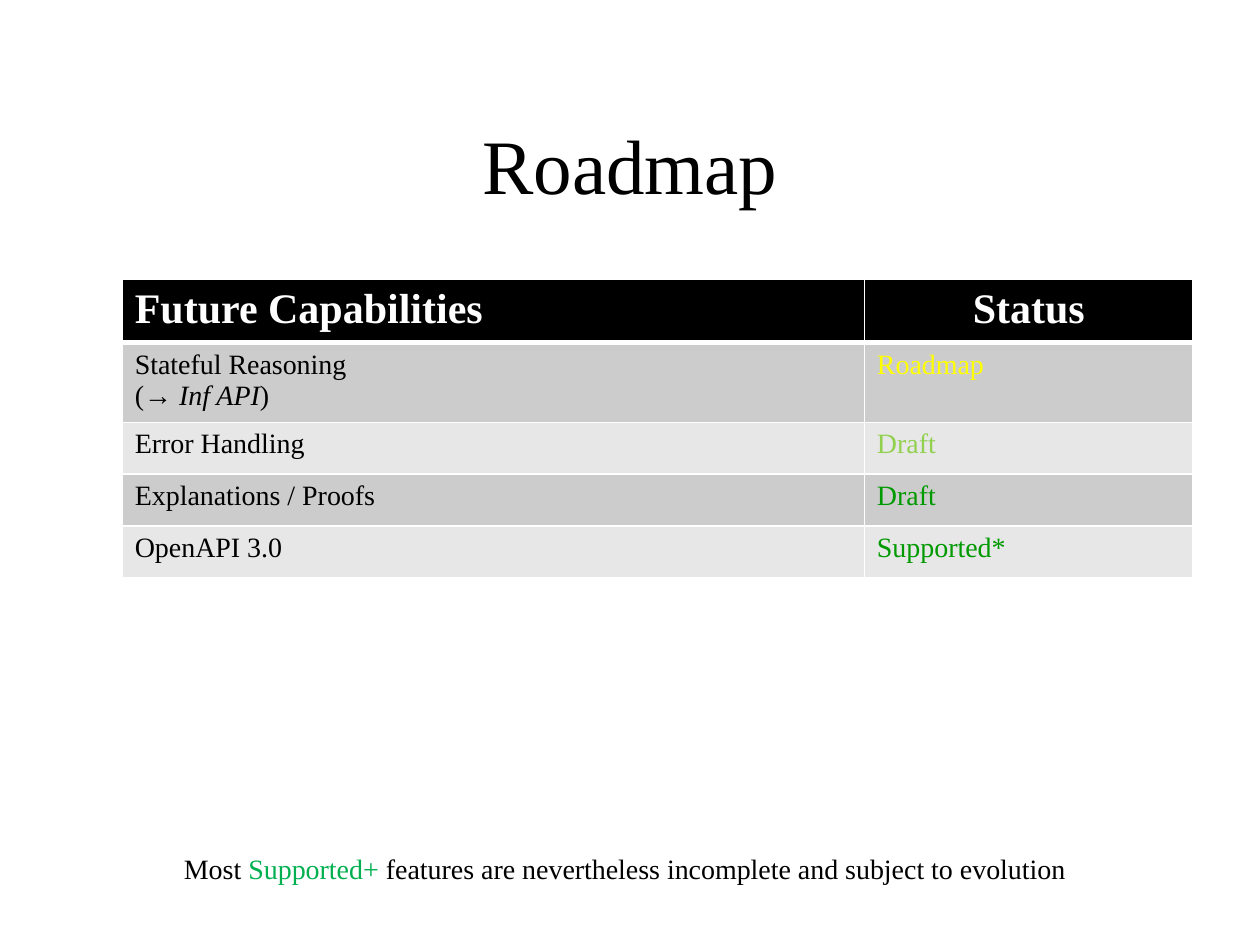
from lxml import etree
from pptx import Presentation
from pptx.dml.color import RGBColor
from pptx.enum.text import MSO_ANCHOR, PP_ALIGN
from pptx.oxml.ns import qn
from pptx.util import Inches, Pt

LEFT, CENTER = PP_ALIGN.LEFT, PP_ALIGN.CENTER
TOP, MIDDLE = MSO_ANCHOR.TOP, MSO_ANCHOR.MIDDLE
BLACK = RGBColor(0x00, 0x00, 0x00)
WHITE = RGBColor(0xFF, 0xFF, 0xFF)
DARK_BAND = RGBColor(0xCC, 0xCC, 0xCC)
LIGHT_BAND = RGBColor(0xE7, 0xE7, 0xE7)
YELLOW = RGBColor(0xFF, 0xFF, 0x00)
LIME = RGBColor(0x92, 0xD0, 0x50)
GREEN = RGBColor(0x00, 0x99, 0x00)
EMERALD = RGBColor(0x00, 0xB0, 0x50)
FONT = "Times New Roman"

COLUMN_WIDTHS = (5.89, 2.61)
ROW_HEIGHT = 0.41
CAPABILITIES = [
    ([["Stateful Reasoning"], ["(→ ", ("Inf API", {"italic": True}), ")"]], "Roadmap", YELLOW),
    ([["Error Handling"]], "Draft", LIME),
    ([["Explanations / Proofs"]], "Draft", GREEN),
    ([["OpenAPI 3.0"]], "Supported*", GREEN),
]


def add_span(para, text, size=16, color=BLACK, bold=False, italic=False):
    """Add one formatted run of text to a paragraph."""
    span = para.add_run()
    span.text = text
    span.font.name = FONT
    span.font.size = Pt(size)
    span.font.color.rgb = color
    span.font.bold = bold
    span.font.italic = italic


def write_text(frame, lines, align=LEFT, **style):
    """Fill a text frame with lines made of strings or (string, style) pairs."""
    for index, line in enumerate(lines):
        para = frame.add_paragraph() if index else frame.paragraphs[0]
        para.alignment = align
        for part in line:
            text, extra = (part, {}) if isinstance(part, str) else part
            add_span(para, text, **{**style, **extra})


def add_text_box(page, left, top, width, height, lines, anchor=TOP, **style):
    """Add a wrapped text box in inches."""
    box = page.shapes.add_textbox(Inches(left), Inches(top), Inches(width), Inches(height))
    box.text_frame.word_wrap = True
    box.text_frame.vertical_anchor = anchor
    write_text(box.text_frame, lines, **style)


def set_borders(cell, top=1, bottom=1):
    """Draw white borders on a cell, with widths in points."""
    properties = cell._tc.get_or_add_tcPr()
    for side, width in (("L", 1), ("R", 1), ("T", top), ("B", bottom)):
        line = etree.SubElement(properties, qn(f"a:ln{side}"), w=str(Pt(width)))
        fill = etree.SubElement(line, qn("a:solidFill"))
        etree.SubElement(fill, qn("a:srgbClr"), val=str(WHITE))


def fill_cell(cell, lines, fill, top=1, bottom=1, **style):
    """Set the borders, fill and text of a table cell."""
    set_borders(cell, top, bottom)
    cell.fill.solid()
    cell.fill.fore_color.rgb = fill
    write_text(cell.text_frame, lines, **style)


def add_capability_table(page, left, top):
    """Add the table of future capabilities and their status."""
    row_count = len(CAPABILITIES) + 1
    table = page.shapes.add_table(
        row_count, len(COLUMN_WIDTHS), Inches(left), Inches(top),
        Inches(sum(COLUMN_WIDTHS)), Inches(ROW_HEIGHT * row_count),
    ).table
    for column, width in zip(table.columns, COLUMN_WIDTHS):
        column.width = Inches(width)
    for index, (title, align) in enumerate((("Future Capabilities", LEFT), ("Status", CENTER))):
        fill_cell(table.cell(0, index), [[title]], BLACK, bottom=3,
                  align=align, size=24, color=WHITE, bold=True)
    for row, (lines, status, color) in enumerate(CAPABILITIES, start=1):
        band = DARK_BAND if row % 2 else LIGHT_BAND
        top_width = 3 if row == 1 else 1
        fill_cell(table.cell(row, 0), lines, band, top=top_width)
        fill_cell(table.cell(row, 1), [[status]], band, top=top_width, color=color)


def main():
    """Build and save the roadmap slide."""
    deck = Presentation()
    deck.slide_width, deck.slide_height = Inches(10), Inches(7.5)
    page = deck.slides.add_slide(deck.slide_layouts[6])
    add_text_box(page, 0.75, 0.67, 8.5, 1.25, [["Roadmap"]],
                 anchor=MIDDLE, align=CENTER, size=44)
    add_capability_table(page, 0.97, 2.22)
    note = ["Most ", ("Supported+", {"color": EMERALD}),
            " features are nevertheless incomplete and subject to evolution"]
    add_text_box(page, 0.97, 6.71, 7.98, 0.37, [note], align=CENTER)
    deck.save("out.pptx")


if __name__ == "__main__":
    main()
